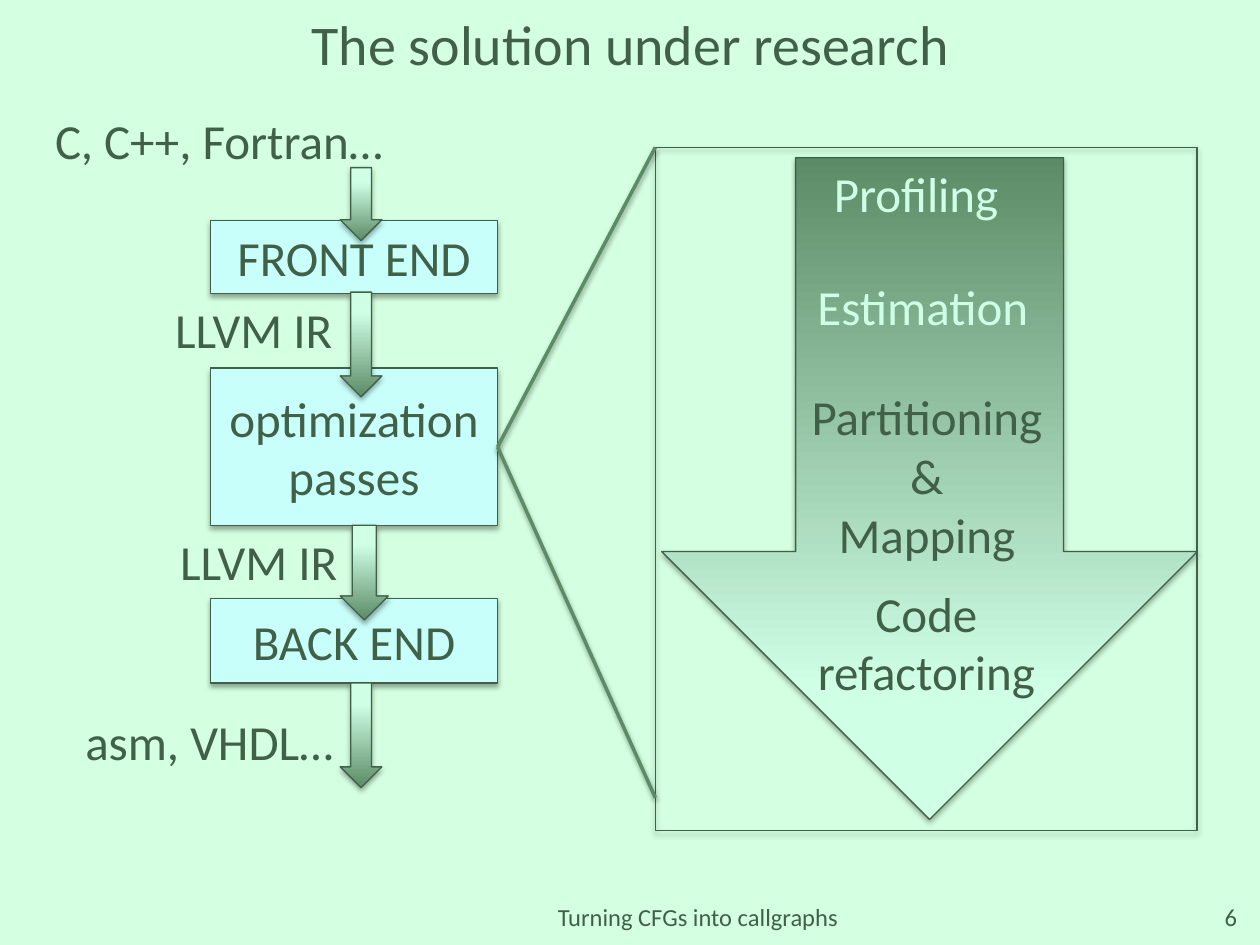
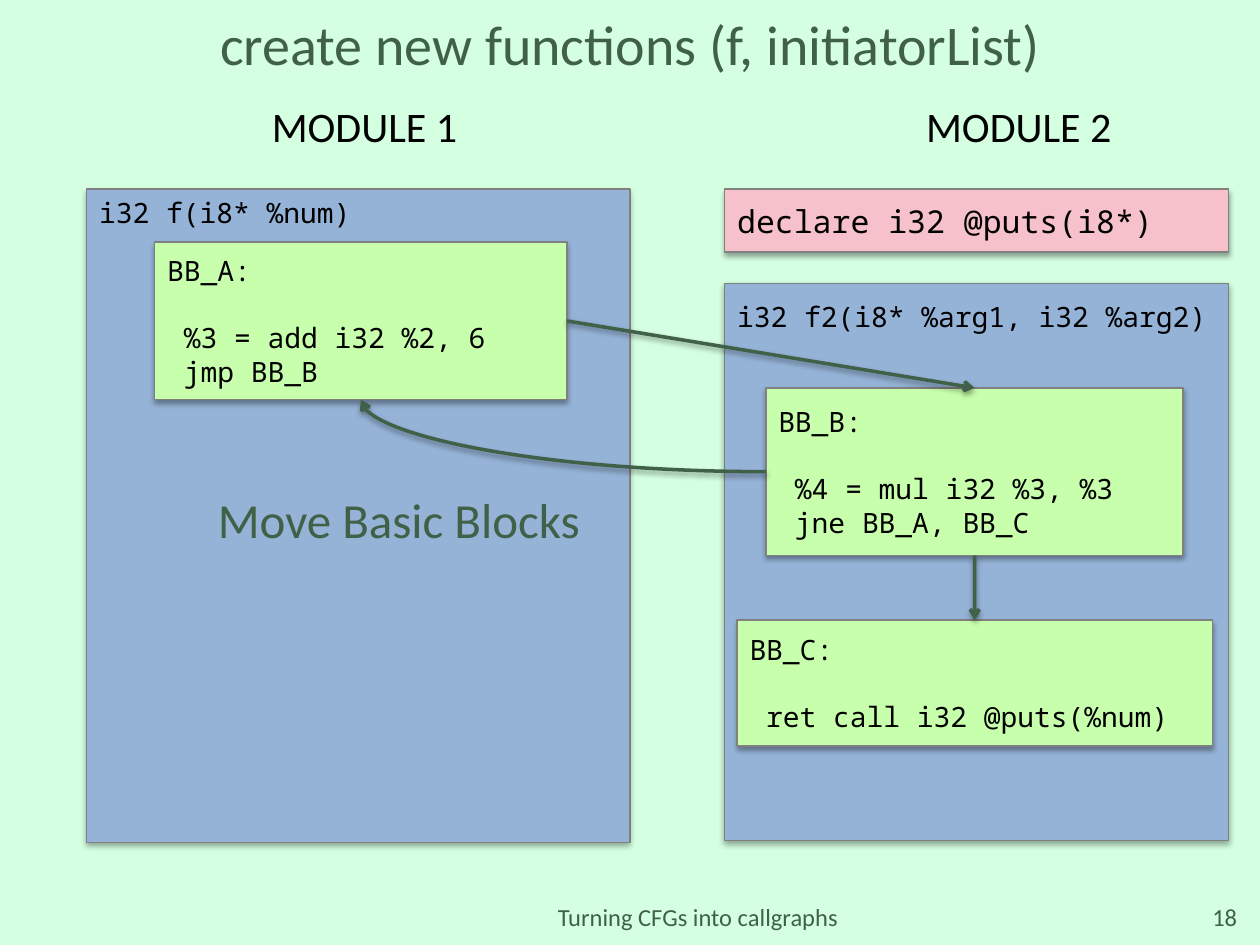
from lxml.etree import SubElement
from pptx import Presentation
from pptx.dml.color import RGBColor
from pptx.enum.shapes import MSO_CONNECTOR as CXN, MSO_SHAPE as SHAPE
from pptx.enum.text import MSO_ANCHOR as ANCHOR, MSO_AUTO_SIZE as AUTO, PP_ALIGN as ALIGN
from pptx.oxml.ns import qn
from pptx.util import Cm, Pt

MINT = RGBColor(0xD4, 0xFF, 0xE1)
PALE = RGBColor(0xCF, 0xFF, 0xE5)
GREEN = RGBColor(0x5C, 0x8B, 0x67)
DARK = RGBColor(0x40, 0x61, 0x48)
CYAN = RGBColor(0xC8, 0xFF, 0xFA)
BLUE = RGBColor(0x95, 0xB3, 0xD7)
LIME = RGBColor(0xC8, 0xFF, 0xAD)
PINK = RGBColor(0xF7, 0xC1, 0xCC)
GRAY = RGBColor(0x80, 0x80, 0x80)
BLACK = RGBColor(0, 0, 0)

SANS, MONO = "Calibri", "Noto Sans Mono"
TOP, LEFT, BOTTOM, RIGHT = range(4)
MIDDLE = {"vertical_anchor": ANCHOR.MIDDLE, "word_wrap": True}
WRAPPED = {"vertical_anchor": ANCHOR.TOP, "word_wrap": True}
FITTED = {"vertical_anchor": ANCHOR.TOP, "word_wrap": False, "auto_size": AUTO.SHAPE_TO_FIT_TEXT}


def write(sp, text, size, color=DARK, name=SANS, align=ALIGN.LEFT, frame=FITTED, gap=0):
    tf = sp.text_frame
    for key, value in frame.items():
        setattr(tf, key, value)
    for i, line in enumerate(text.split("\n")):
        p = tf.paragraphs[0] if i == 0 else tf.add_paragraph()
        p.alignment = align
        if i == 1:
            p.space_before = Pt(gap)
        r = p.add_run()
        r.text = line
        for key, value in {"name": name, "size": Pt(size)}.items():
            setattr(r.font, key, value)
        r.font.color.rgb = color


def outline(sp, color, width=0.75, opacity=35, arrow=False):
    sp.line.color.rgb = color
    sp.line.width = Pt(width)
    sp_pr = sp._element.spPr
    if arrow:
        SubElement(sp_pr.find(qn("a:ln")), qn("a:tailEnd"), type="arrow")
    effects = SubElement(sp_pr, qn("a:effectLst"))
    shadow = SubElement(effects, qn("a:outerShdw"), blurRad=str(Pt(3.1)), dist=str(Pt(1.8)),
                        dir="5400000", rotWithShape="0")
    black = SubElement(shadow, qn("a:srgbClr"), val="000000")
    SubElement(black, qn("a:alpha"), val=str(opacity * 1000))


prs = Presentation()
prs.slide_width, prs.slide_height = Cm(25.4), Cm(19.05)
back = prs.slide_master.background.fill
back.solid()
back.fore_color.rgb = MINT

slides = []
for title, number in [("The solution under research", "6"),
                      ("create new functions (f, initiatorList)", "18")]:
    s = prs.slides.add_slide(prs.slide_layouts[6])
    slides.append(s)
    for at, text, size, align in [
        ((0.43, 0.43, 24.56, 0.89), title, 32, ALIGN.CENTER),
        ((23.29, 17.98, 1.9, 1.02), number, 14, ALIGN.RIGHT),
        ((5.08, 17.98, 17.98, 1.02), "Turning CFGs into callgraphs", 14, ALIGN.CENTER),
    ]:
        write(s.shapes.add_textbox(*map(Cm, at)), text, size, align=align, frame=MIDDLE)

flow, modules = slides

stages = {}
for text, y, h in [("FRONT END", 4.45, 1.47), ("optimization passes", 7.42, 3.18),
                   ("BACK END", 12.07, 1.7)]:
    sp = flow.shapes.add_shape(SHAPE.RECTANGLE, Cm(4.24), Cm(y), Cm(5.79), Cm(h))
    sp.fill.solid()
    sp.fill.fore_color.rgb = CYAN
    outline(sp, DARK)
    write(sp, text, 28, align=ALIGN.CENTER, frame=MIDDLE)
    stages[text] = sp

FALLING = [(0, GREEN), (0.8, PALE)]
RISING = [(0.2, PALE), (1, GREEN)]
for at, stops in [
    ((13.34, 3.18, 10.8, 13.34), RISING),
    ((6.86, 3.38, 0.84, 1.47), FALLING),
    ((6.86, 5.89, 0.84, 2.11), FALLING),
    ((6.86, 10.59, 0.97, 1.91), FALLING),
    ((6.86, 13.77, 0.84, 2.11), FALLING),
]:
    sp = flow.shapes.add_shape(SHAPE.DOWN_ARROW, *map(Cm, at))
    sp.fill.gradient()
    sp.fill.gradient_angle = 90
    for stop, (position, color) in zip(sp.fill.gradient_stops, stops):
        stop.position = position
        stop.color.rgb = color
    outline(sp, DARK)

frame = flow.shapes.add_shape(SHAPE.RECTANGLE, Cm(13.21), Cm(2.97), Cm(10.92), Cm(13.77))
frame.fill.background()
outline(frame, DARK)

for y in (2.97, 16.08):
    c = flow.shapes.add_connector(CXN.STRAIGHT, Cm(10.03), Cm(9.01), Cm(13.21), Cm(y))
    c.begin_connect(stages["optimization passes"], RIGHT)
    outline(c, GREEN, 2, 38)

for text, at, color, align in [
    ("C, C++, Fortran…", (0.86, 2.11, 7.19, 1.45), DARK, ALIGN.LEFT),
    ("LLVM IR", (3.28, 5.92, 3.71, 1.45), DARK, ALIGN.LEFT),
    ("LLVM IR", (3.38, 10.59, 3.71, 1.45), DARK, ALIGN.LEFT),
    ("asm, VHDL…", (1.47, 14.22, 5.56, 1.45), DARK, ALIGN.LEFT),
    ("Profiling", (16.56, 3.18, 3.86, 1.45), PALE, ALIGN.LEFT),
    ("Estimation", (16.23, 5.44, 4.83, 1.45), PALE, ALIGN.LEFT),
    ("Partitioning\n&\nMapping", (16.08, 7.67, 5.21, 3.84), DARK, ALIGN.CENTER),
    ("Code\nrefactoring", (16.21, 11.63, 4.93, 2.64), DARK, ALIGN.CENTER),
]:
    write(flow.shapes.add_textbox(*map(Cm, at)), text, 28, color, align=align)

blocks = {}
for name, at, fill, text, size in [
    ("module 2", (14.61, 5.72, 10.16, 11.23), BLUE, "", 16),
    ("module 1", (1.75, 3.81, 10.95, 13.18), BLUE, "", 16),
    ("A", (3.12, 4.88, 8.31, 3.18), LIME, "BB_A:\n %3 = add i32 %2, 6\n jmp BB_B", 16),
    ("B", (15.44, 7.82, 8.41, 3.38), LIME, "BB_B:\n %4 = mul i32 %3, %3\n jne BB_A, BB_C", 16),
    ("C", (14.86, 12.5, 9.58, 2.54), LIME, "BB_C:\n ret call i32 @puts(%num)", 16),
    ("declare", (14.61, 3.81, 10.16, 1.27), PINK, "declare i32 @puts(i8*)", 18),
]:
    sp = modules.shapes.add_shape(SHAPE.RECTANGLE, *map(Cm, at))
    sp.fill.solid()
    sp.fill.fore_color.rgb = fill
    outline(sp, GRAY)
    if text:
        write(sp, text, size, BLACK, MONO, frame=MIDDLE, gap=19)
    blocks[name] = sp

for kind, start, start_side, end, end_side in [
    (CXN.STRAIGHT, "A", RIGHT, "B", TOP),
    (CXN.STRAIGHT, "B", BOTTOM, "C", TOP),
    (CXN.CURVE, "B", LEFT, "A", BOTTOM),
]:
    c = modules.shapes.add_connector(kind, 0, 0, 0, 0)
    c.begin_connect(blocks[start], start_side)
    c.end_connect(blocks[end], end_side)
    if kind == CXN.CURVE:
        c._element.spPr.find(qn("a:prstGeom")).set("prst", "curvedConnector2")
    outline(c, DARK, 2, 38, arrow=True)

for text, at, size, color, name, align, box in [
    ("i32 f(i8* %num)", (1.75, 3.81, 6.93, 0.94), 16, BLACK, MONO, ALIGN.LEFT, WRAPPED),
    ("i32 f2(i8* %arg1, i32 %arg2)", (14.61, 5.92, 10.16, 0.94), 16, BLACK, MONO, ALIGN.LEFT, WRAPPED),
    ("MODULE 1", (5.23, 1.91, 4.29, 1.27), 24, BLACK, SANS, ALIGN.LEFT, FITTED),
    ("MODULE 2", (18.42, 1.91, 4.29, 1.27), 24, BLACK, SANS, ALIGN.LEFT, FITTED),
    ("Move Basic Blocks", (3.81, 9.75, 8.46, 1.45), 28, DARK, SANS, ALIGN.CENTER, WRAPPED),
]:
    write(modules.shapes.add_textbox(*map(Cm, at)), text, size, color, name, align, box)

prs.save("out.pptx")
